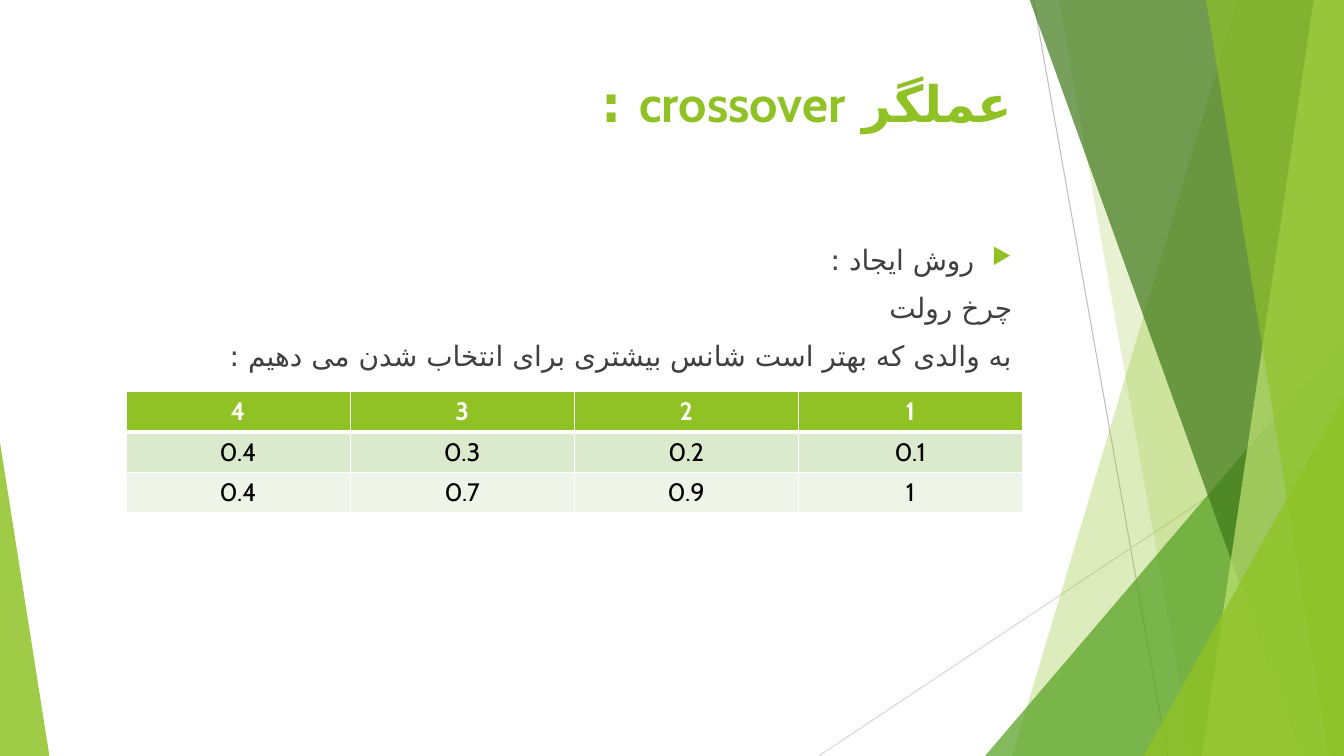
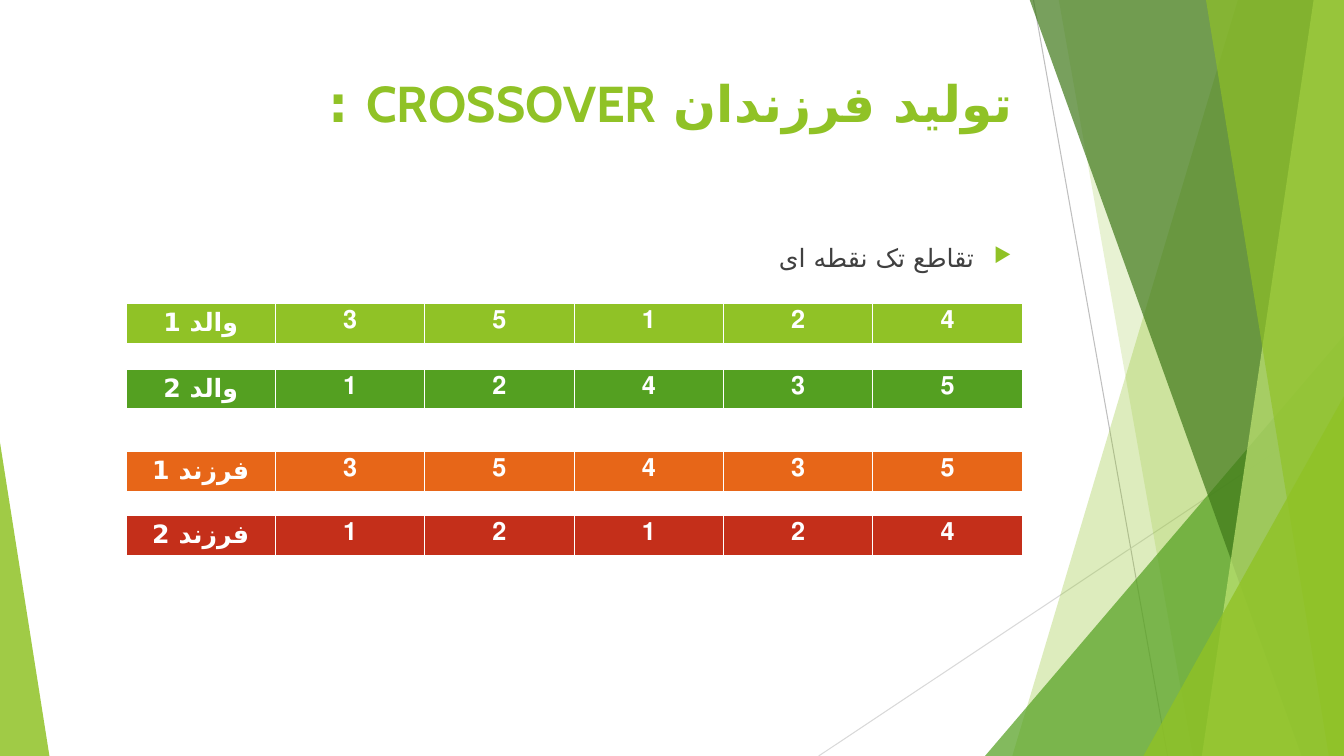
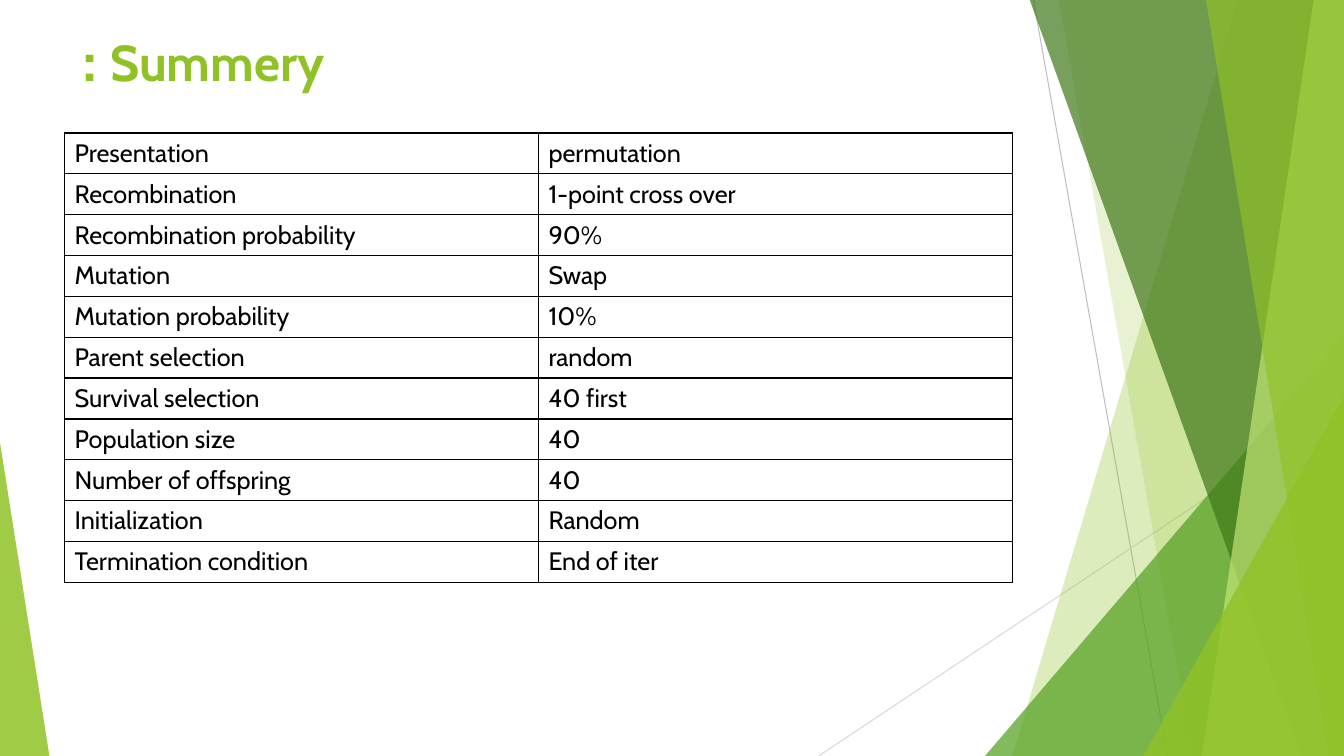
"""Three slides on the crossover operator of a genetic algorithm."""
from itertools import groupby
from lxml import etree
from pptx import Presentation
from pptx.dml.color import RGBColor
from pptx.enum import shapes, text
from pptx.oxml.ns import qn
from pptx.util import Inches, Pt

HUES = {
    "lime": "90C226", "green": "54A021", "forest": "3F7819", "pale": "C0E474",
    "orange": "E76618", "red": "C42F1A", "mint": "DBE9CD", "mist": "EEF4E8",
    "white": "FFFFFF", "black": "000000", "ink": "404040",
    "grey": "BFBFBF", "silver": "D9D9D9",
}
FONT, SCRIPT = "Cabin", "DejaVu Sans"
LEFT, RIGHT, MID = text.PP_ALIGN.LEFT, text.PP_ALIGN.RIGHT, text.PP_ALIGN.CENTER
WIDE, HIGH = 13.33, 7.5

LINES = [(10.25, 0, 11.58, HIGH, "grey"), (WIDE, 4.03, 8.12, HIGH, "silver")]
BANDS = [
    ("band", 12.28, 10.04, "lime", 30),
    ("band", 10.5, 11.83, "lime", 20),
    ("peak", 9.77, 3.33, 3.56, 1, "green", 72),
    ("band", 10.21, 12.91, "forest", 70),
    ("band", 13.03, 11.92, "pale", 70),
    ("band", 11.96, 13.18, "lime", 65),
    ("peak", 11.34, 3.93, 1.99, 1, "lime", 80),
    ("peak", 0, 4.39, 0.49, 0, "lime", 85),
]
PAGES = [
    ("عملگر crossover :", 0.74, 0.67, RIGHT, 20,
     ["روش ایجاد :", "چرخ رولت",
      "به والدی که بهتر است شانس بیشتری برای انتخاب شدن می دهیم :"]),
    ("تولید فرزندان CROSSOVER :", 0.74, 0.67, RIGHT, 18, ["تقاطع تک نقطه ای"]),
    ("Summery :", 0.73, 0.26, LEFT, 18, []),
]
ODDS = [["4", "3", "2", "1"], ["0.4", "0.3", "0.2", "0.1"], ["0.4", "0.7", "0.9", "1"]]
GENES = [
    (3.01, "lime", ["والد 1", "3", "5", "1", "2", "4"]),
    (3.66, "green", ["والد 2", "1", "2", "4", "3", "5"]),
    (4.48, "orange", ["فرزند 1", "3", "5", "4", "3", "5"]),
    (5.11, "red", ["فرزند 2", "1", "2", "1", "2", "4"]),
]
FACTS = [
    ("Presentation", "permutation"),
    ("Recombination", "1-point cross over"),
    ("Recombination probability", "90%"),
    ("Mutation", "Swap"),
    ("Mutation probability", "10%"),
    ("Parent selection", "random"),
    ("Survival selection", "40 first"),
    ("Population size", "40"),
    ("Number of offspring", "40"),
    ("Initialization", "Random"),
    ("Termination condition", "End of iter"),
]


def write(par, words, size, hue, bold=False, align=LEFT, rtl=False):
    par.alignment = align
    if rtl:
        par._p.get_or_add_pPr().set("rtl", "1")
    parts = groupby(words.split(" "), lambda word: word[0] >= "ء")
    for i, (persian, part) in enumerate(parts):
        run = par.add_run()
        run.text = (" " if i else "") + " ".join(part)
        run.font.name, run.font.size, run.font.bold = FONT, Pt(size), bold
        run.font.color.rgb = RGBColor.from_string(HUES[hue])
        if persian:
            props = run._r.get_or_add_rPr()
            props.set("lang", "fa-IR")
            etree.SubElement(props, qn("a:cs"), typeface=SCRIPT)


def grid(slide, left, top, width, height, rows, fills, edge,
         head=False, align=MID, rtl=False):
    table = slide.shapes.add_table(
        len(rows), len(rows[0]), Inches(left), Inches(top),
        Inches(width), Inches(height)).table
    table.first_row = table.horz_banding = False
    for r, row in enumerate(rows):
        lead = head and r == 0
        for c, words in enumerate(row):
            cell = table.cell(r, c)
            if fills:
                cell.fill.solid()
                cell.fill.fore_color.rgb = RGBColor.from_string(HUES[fills[r]])
            else:
                cell.fill.background()
            hue = "white" if lead else "black"
            write(cell.text_frame.paragraphs[0], words, 18, hue, lead, align, rtl)
            props = cell._tc.get_or_add_tcPr()
            for i, side in enumerate(["lnL", "lnR", "lnT", "lnB"]):
                thick = 3 if lead and side == "lnB" else 1
                line = etree.Element(qn("a:" + side), w=str(Pt(thick)))
                paint = etree.SubElement(line, qn("a:solidFill"))
                etree.SubElement(paint, qn("a:srgbClr"), val=HUES[edge])
                props.insert(i, line)


deck = Presentation()
deck.slide_width, deck.slide_height = Inches(WIDE), Inches(HIGH)
slides = []
for title, left, top, align, size, items in PAGES:
    slide = deck.slides.add_slide(deck.slide_layouts[6])
    slides.append(slide)
    for x1, y1, x2, y2, hue in LINES:
        line = slide.shapes.add_connector(
            shapes.MSO_CONNECTOR.STRAIGHT,
            Inches(x1), Inches(y1), Inches(x2), Inches(y2))
        line.line.color.rgb = RGBColor.from_string(HUES[hue])
        line.line.width = Pt(0.75)
        etree.SubElement(line._element.spPr, qn("a:effectLst"))
    for kind, *spots, hue, alpha in BANDS:
        if kind == "band":
            upper, lower = spots
            pen = slide.shapes.build_freeform(Inches(upper), Inches(-0.01))
            pen.add_line_segments([
                (Inches(WIDE), Inches(-0.01)), (Inches(WIDE), Inches(HIGH)),
                (Inches(lower), Inches(HIGH))])
            shape = pen.convert_to_shape()
        else:
            x, y, width, tip = spots
            shape = slide.shapes.add_shape(
                shapes.MSO_SHAPE.ISOSCELES_TRIANGLE,
                Inches(x), Inches(y), Inches(width), Inches(HIGH - y))
            shape.adjustments[0] = tip
        shape.shadow.inherit = False
        shape.line.fill.background()
        shape.fill.solid()
        shape.fill.fore_color.rgb = RGBColor.from_string(HUES[hue])
        paint = shape._element.spPr.find(qn("a:solidFill"))[0]
        etree.SubElement(paint, qn("a:alpha"), val=str(alpha * 1000))

    box = slide.shapes.add_textbox(Inches(left), Inches(top), Inches(9.4), Inches(1.44))
    box.text_frame.word_wrap = True
    write(box.text_frame.paragraphs[0], title, 36, "lime", True, align, True)
    if items:
        box = slide.shapes.add_textbox(
            Inches(0.74), Inches(2.36), Inches(9.4), Inches(4.24))
        frame = box.text_frame
        frame.word_wrap = True
        for i, words in enumerate(items):
            par = frame.add_paragraph() if i else frame.paragraphs[0]
            par.space_before = Pt(10)
            write(par, words, size, "ink", align=RIGHT, rtl=True)
        props = frame.paragraphs[0]._p.get_or_add_pPr()
        props.set("marL", str(Inches(0.38)))
        props.set("indent", str(Inches(-0.38)))
        tint = etree.SubElement(props, qn("a:buClr"))
        etree.SubElement(tint, qn("a:srgbClr"), val=HUES["lime"])
        etree.SubElement(props, qn("a:buSzPct"), val="80000")
        etree.SubElement(props, qn("a:buFont"), typeface="OpenSymbol")
        etree.SubElement(props, qn("a:buChar"), char="▶")

wheel, cross, recap = slides
grid(wheel, 1.25, 3.88, 8.89, 1.21, ODDS, ["lime", "mint", "mist"], "white", head=True)
for top, hue, genes in GENES:
    grid(cross, 1.25, top, 8.89, 0.41, [genes], [hue], "white", head=True, rtl=True)
grid(recap, 0.64, 1.32, 9.4, 4.46, FACTS, None, "black", align=LEFT)

deck.save("out.pptx")
